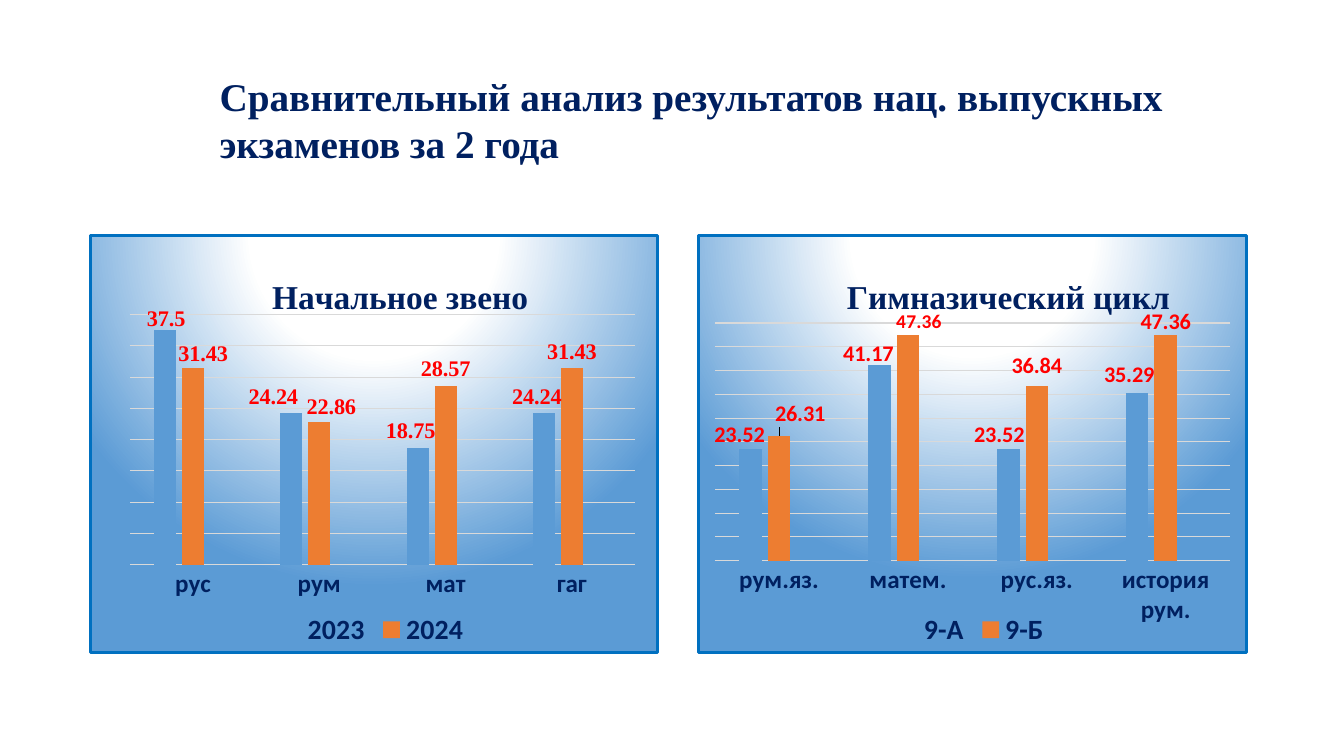
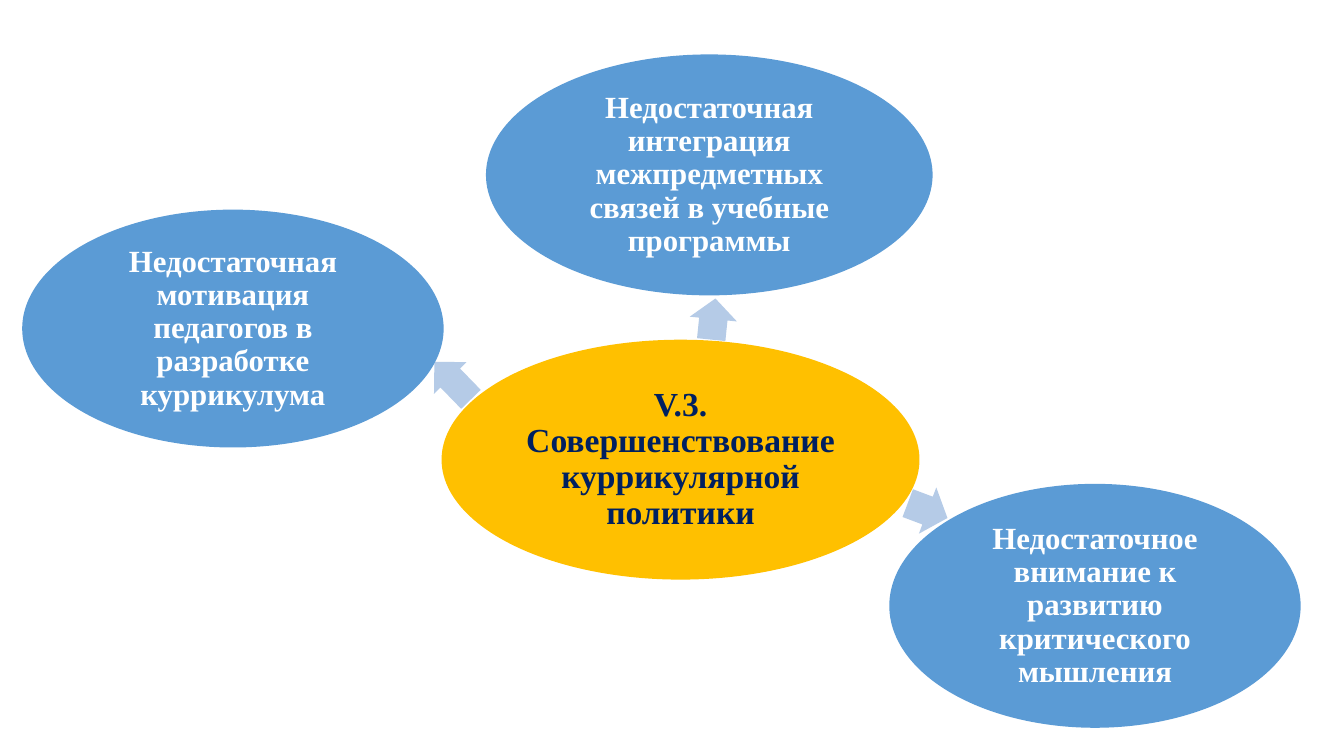
from dataclasses import dataclass

from lxml import etree
from pptx import Presentation
from pptx import util as u
from pptx.chart.data import CategoryChartData
from pptx.dml.color import RGBColor
from pptx.enum import chart as charts, shapes, text
from pptx.oxml import parse_xml
from pptx.oxml.ns import nsdecls, qn


@dataclass(frozen=True)
class Theme:
    serif: str = "Times New Roman"
    sans: str = "Calibri"
    navy: str = "002060"
    blue: str = "5B9BD5"
    orange: str = "ED7D31"
    gray: str = "A5A5A5"
    grid: str = "D9D9D9"
    border: str = "0070C0"
    red: str = "FF0000"
    white: str = "FFFFFF"
    gold: str = "FFC000"
    arrow: str = "B5CBE7"
    title: int = 28
    heading: int = 24
    legend: int = 20
    axis: int = 18
    label: int = 16
    small_label: int = 14
    idea: int = 22


THEME = Theme()
PX = 9144
SLIDE_SIZE = (1333, 750)

TITLE_BOX = (208, 67, 1100, 104)
TITLE_LINES = ["Сравнительный анализ результатов нац. выпускных", "экзаменов за 2 года"]

CHARTS = [
    {
        "box": (88, 232, 566, 417),
        "heading": "Начальное звено",
        "heading_at": (0.31, 0.08),
        "plot": (0.07, 0.19, 0.89, 0.6),
        "maximum": 40,
        "label_font": THEME.serif,
        "categories": ["рус", "рум", "мат", "гаг"],
        "series": [
            ("2023", [37.5, 24.24, 18.75, 24.24], [(1, 5), (-18, 0), (-7, 0), (-7, 0)]),
            ("2024", [31.43, 22.86, 28.57, 31.43], [(10, 2), (12, 2), (0, 0), (0, 0)]),
        ],
        "small": (),
    },
    {
        "box": (691, 232, 547, 417),
        "heading": "Гимназический цикл",
        "heading_at": (0.26, 0.08),
        "plot": (0.03, 0.21, 0.94, 0.57),
        "maximum": 50,
        "label_font": THEME.sans,
        "categories": ["рум.яз.", "матем.", "рус.яз.", "история рум."],
        "series": [
            ("9-А", [23.52, 41.17, 23.52, 35.29], [(-11, 4), (-11, 7), (-9, 4), (-8, 0)]),
            ("9-Б", [26.31, 47.36, 36.84, 47.36], [(21, -4), (11, 2), (0, -2), (0, 4)]),
        ],
        "small": ((1, 1),),
    },
]
EMPTY_SERIES = "Series 3"

CENTER = ((438, 337, 474, 238), "V.3. Совершенствование куррикулярной политики")
BRANCHES = [
    ((687, 293, 41, 47), 275.8, (482, 54, 443, 239),
     "Недостаточная интеграция межпредметных связей в учебные программы"),
    ((899, 482, 42, 49), 20.6, (882, 480, 408, 242),
     "Недостаточное внимание к развитию критического мышления"),
    ((423, 355, 52, 45), 225.8, (22, 208, 418, 236),
     "Недостаточная мотивация педагогов в разработке куррикулума"),
]


def px(*lengths):
    return [u.Emu(length * PX) for length in lengths]


def set_font(font, size, color, name=THEME.serif):
    font.size = u.Pt(size)
    font.bold = True
    font.name = name
    font.color.rgb = RGBColor.from_string(color)


def paint(fill, color):
    fill.solid()
    fill.fore_color.rgb = RGBColor.from_string(color)


def add_run(paragraph, content, size, color):
    run = paragraph.add_run()
    run.text = content
    set_font(run.font, size, color)


def manual_layout(edge, **values):
    layout = etree.Element(qn("c:layout"))
    manual = etree.SubElement(layout, qn("c:manualLayout"))
    if edge:
        for tag, value in (("layoutTarget", "inner"), ("xMode", "edge"), ("yMode", "edge")):
            if tag != "layoutTarget" or "w" in values:
                etree.SubElement(manual, qn(f"c:{tag}")).set("val", value)
    for tag, value in values.items():
        etree.SubElement(manual, qn(f"c:{tag}")).set("val", f"{value:.4f}")
    return layout


def place(element, layout, index):
    for old in element.findall(qn("c:layout")):
        element.remove(old)
    element.insert(index, layout)


def style_frame(chart):
    stops = [(0, THEME.white), (35, THEME.white), (100, THEME.blue)]
    gradient = "".join(
        f'<a:gs pos="{position * 1000}"><a:srgbClr val="{color}"/></a:gs>'
        for position, color in stops
    )
    properties = parse_xml(
        f'<c:spPr {nsdecls("c", "a")}><a:gradFill><a:gsLst>{gradient}</a:gsLst>'
        '<a:path path="circle"><a:fillToRect l="50000" t="-80000" r="50000" b="180000"/></a:path>'
        f'</a:gradFill><a:ln w="{u.Pt(2.25)}"><a:solidFill><a:srgbClr val="{THEME.border}"/>'
        "</a:solidFill><a:round/></a:ln></c:spPr>"
    )
    chart.element.find(qn("c:chart")).addnext(properties)


def style_axes(chart, maximum):
    category_axis, value_axis = chart.category_axis, chart.value_axis
    category_axis.major_tick_mark = charts.XL_TICK_MARK.NONE
    set_font(category_axis.tick_labels.font, THEME.axis, THEME.navy, THEME.sans)
    value_axis.minimum_scale, value_axis.maximum_scale = 0, maximum
    value_axis.major_unit = 5
    value_axis.has_major_gridlines = True
    value_axis.visible = False
    for line in (category_axis.format.line, value_axis.major_gridlines.format.line):
        paint(line.fill, THEME.grid)
        line.width = u.Pt(0.75)


def style_legend(chart):
    chart.has_legend = True
    legend = chart.legend
    legend.position = charts.XL_LEGEND_POSITION.BOTTOM
    legend.include_in_layout = False
    set_font(legend.font, THEME.legend, THEME.navy, THEME.sans)
    hidden = parse_xml(
        f'<c:legendEntry {nsdecls("c")}><c:idx val="2"/><c:delete val="1"/></c:legendEntry>'
    )
    legend._element.find(qn("c:legendPos")).addnext(hidden)


def label_points(series, series_index, data):
    shifts = data["series"][series_index][2]
    width, height = data["box"][2:]
    for index, (right, down) in enumerate(shifts):
        label = series.points[index].data_label
        size = THEME.small_label if (series_index, index) in data["small"] else THEME.label
        set_font(label.font, size, THEME.red, data["label_font"])
        label.position = charts.XL_LABEL_POSITION.OUTSIDE_END
        entry = next(
            item for item in series._element.iter(qn("c:dLbl"))
            if item.find(qn("c:idx")).get("val") == str(index)
        )
        place(entry, manual_layout(False, x=right / width, y=down / height), 1)


def add_column_chart(slide, data):
    chart_data = CategoryChartData()
    chart_data.categories = data["categories"]
    for name, values, _ in data["series"]:
        chart_data.add_series(name, values)
    chart_data.add_series(EMPTY_SERIES, [None] * len(data["categories"]))
    chart = slide.shapes.add_chart(
        charts.XL_CHART_TYPE.COLUMN_CLUSTERED, *px(*data["box"]), chart_data
    ).chart
    chart.font.size = u.Pt(10)
    chart.font.name = THEME.sans
    style_frame(chart)

    chart.has_title = True
    add_run(chart.chart_title.text_frame.paragraphs[0], data["heading"], THEME.heading, THEME.navy)
    left, top = data["heading_at"]
    place(chart.chart_title._element, manual_layout(True, x=left, y=top), 1)
    chart.chart_title.include_in_layout = False

    style_axes(chart, data["maximum"])
    style_legend(chart)
    plot = chart.plots[0]
    plot.gap_width, plot.overlap = 219, -27
    plot.vary_by_categories = False
    for series, color in zip(plot.series, (THEME.blue, THEME.orange, THEME.gray)):
        paint(series.format.fill, color)
    for index in range(len(data["series"])):
        label_points(plot.series[index], index, data)
    area = chart.element.find(qn("c:chart")).find(qn("c:plotArea"))
    place(area, manual_layout(True, **dict(zip("xywh", data["plot"]))), 0)


def add_figure(slide, kind, box, color):
    shape = slide.shapes.add_shape(kind, *px(*box))
    shape.shadow.inherit = False
    paint(shape.fill, color)
    shape.line.fill.background()
    return shape


def add_ellipse(slide, box, content, fill, size, color):
    frame = add_figure(slide, shapes.MSO_SHAPE.OVAL, box, fill).text_frame
    frame.word_wrap = True
    frame.vertical_anchor = text.MSO_ANCHOR.MIDDLE
    frame.margin_left, frame.margin_top, frame.margin_right, frame.margin_bottom = px(3, 3, 3, 3)
    paragraph = frame.paragraphs[0]
    paragraph.alignment = text.PP_ALIGN.CENTER
    paragraph.line_spacing = 0.9
    add_run(paragraph, content, size, color)


def build_results(slide):
    for data in CHARTS:
        add_column_chart(slide, data)
    frame = slide.shapes.add_textbox(*px(*TITLE_BOX)).text_frame
    frame.word_wrap = True
    for index, line in enumerate(TITLE_LINES):
        paragraph = frame.add_paragraph() if index else frame.paragraphs[0]
        add_run(paragraph, line, THEME.title, THEME.navy)


def build_curriculum(slide):
    add_ellipse(slide, *CENTER, THEME.gold, THEME.heading, THEME.navy)
    for arrow_box, angle, box, content in BRANCHES:
        arrow = add_figure(slide, shapes.MSO_SHAPE.RIGHT_ARROW, arrow_box, THEME.arrow)
        arrow.adjustments[0], arrow.adjustments[1] = 0.6, 0.5
        arrow.rotation = angle
        add_ellipse(slide, box, content, THEME.blue, THEME.idea, THEME.white)


def main():
    presentation = Presentation()
    presentation.slide_width, presentation.slide_height = px(*SLIDE_SIZE)
    for build in (build_results, build_curriculum):
        build(presentation.slides.add_slide(presentation.slide_layouts[6]))
    presentation.save("out.pptx")


if __name__ == "__main__":
    main()
